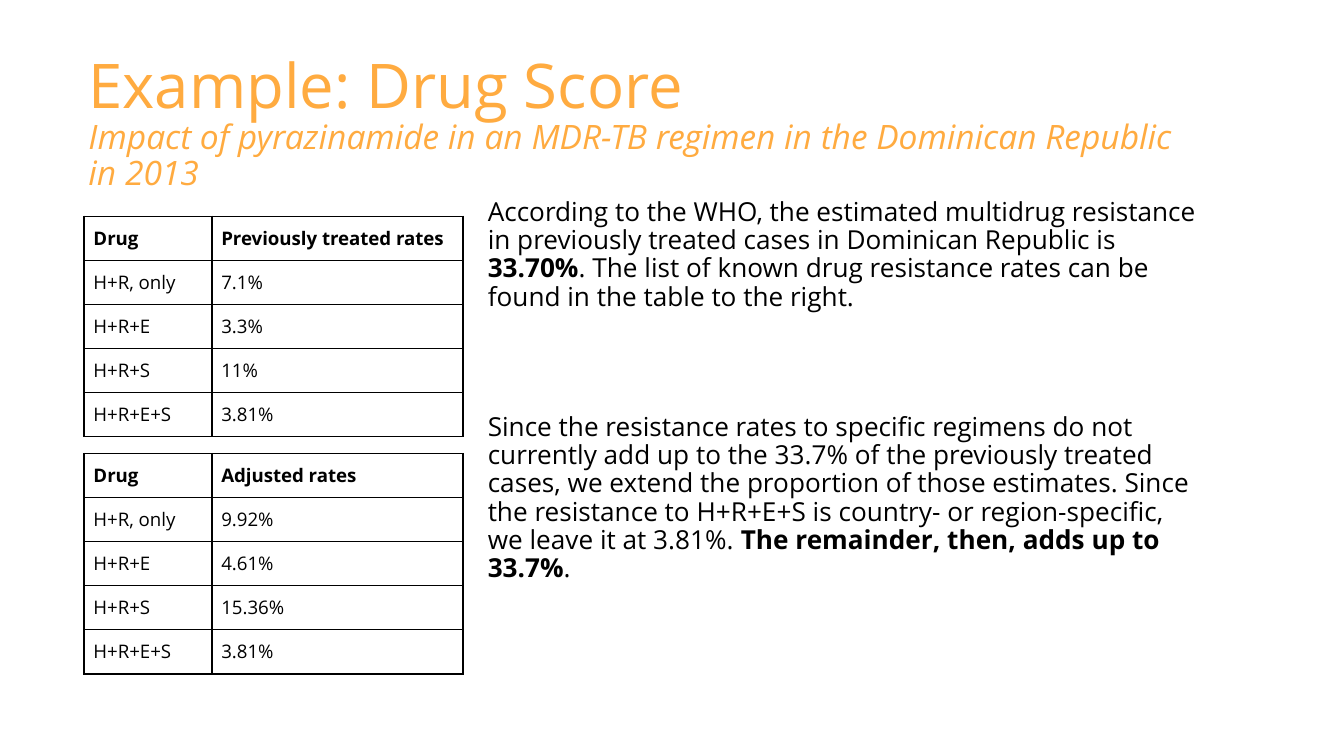
from lxml.etree import SubElement
from pptx import Presentation
from pptx.dml.color import RGBColor
from pptx.enum.text import MSO_ANCHOR
from pptx.oxml.ns import qn
from pptx.util import Pt

FONT = "Open Sans"
BLACK = "000000"
ORANGE = "FFAB40"


def add_span(para, text, size, color=BLACK, bold=False, italic=False):
    span = para.add_run()
    span.text = text
    span.font.name = FONT
    span.font.size = Pt(size)
    span.font.bold = bold
    span.font.italic = italic
    span.font.color.rgb = RGBColor.from_string(color)


def add_text_box(page, left, top, width, height, inset_x, inset_y):
    """Add a wrapping text box and return its text frame."""
    frame = page.shapes.add_textbox(Pt(left), Pt(top), Pt(width), Pt(height)).text_frame
    frame.word_wrap = True
    frame.margin_left = frame.margin_right = Pt(inset_x)
    frame.margin_top = frame.margin_bottom = Pt(inset_y)
    return frame


deck = Presentation()
deck.slide_width = Pt(720)
deck.slide_height = Pt(405)
page = deck.slides.add_slide(deck.slide_layouts[6])

# Title and subtitle
title = add_text_box(page, 40.3, 12.2, 606.2, 98, 7.2, 7.2)
title.vertical_anchor = MSO_ANCHOR.BOTTOM
heading = title.paragraphs[0]
add_span(heading, "Example: Drug Score", 33, ORANGE)
subtitle = title.add_paragraph()
add_span(
    subtitle,
    "Impact of pyrazinamide in an MDR-TB regimen in the Dominican Republic in 2013",
    18, ORANGE, italic=True,
)
for para in title.paragraphs:
    para.line_spacing = 0.88

# Rate tables
drugs = ["Drug", "H+R, only", "H+R+E", "H+R+S", "H+R+E+S"]
rate_tables = [
    (116, ["Previously treated rates", "7.1%", "3.3%", "11%", "3.81%"]),
    (243, ["Adjusted rates", "9.92%", "4.61%", "15.36%", "3.81%"]),
]
column_widths = [68.5, 134.5]
row_height = 23.6

for top, rates in rate_tables:
    table = page.shapes.add_table(
        len(drugs), 2, Pt(45.1), Pt(top), Pt(sum(column_widths)), Pt(row_height * len(drugs))
    ).table
    for column, width in zip(table.columns, column_widths):
        column.width = Pt(width)
    for row_index, values in enumerate(zip(drugs, rates)):
        table.rows[row_index].height = Pt(row_height)
        for column_index, value in enumerate(values):
            cell = table.cell(row_index, column_index)
            cell.margin_left = cell.margin_right = Pt(5)
            cell.margin_top = cell.margin_bottom = Pt(5)
            add_span(cell.text_frame.paragraphs[0], value, 10, bold=row_index == 0)
            properties = cell._tc.get_or_add_tcPr()
            for side in ("a:lnL", "a:lnR", "a:lnT", "a:lnB"):
                line = SubElement(properties, qn(side), w=str(Pt(1)))
                fill = SubElement(line, qn("a:solidFill"))
                SubElement(fill, qn("a:srgbClr"), val=BLACK)
            cell.fill.background()

# Explanation: space before each paragraph, then its spans as (text, bold)
explanation = [
    (0, [
        ("According to the WHO, the estimated multidrug resistance in previously "
         "treated cases in Dominican Republic is ", False),
        ("33.70%", True),
        (". The list of known drug resistance rates can be found in the table "
         "to the right.", False),
    ]),
    (54.5, [
        ("Since the resistance rates to specific regimens do not currently add up to "
         "the 33.7% of the previously treated cases, we extend the proportion of those "
         "estimates. Since the resistance to H+R+E+S is country- or region-specific, "
         "we leave it at 3.81%. ", False),
        ("The remainder, then, adds up to 33.7%", True),
        (".", False),
    ]),
]
body = add_text_box(page, 256.3, 103.7, 394.6, 261.4, 5, 2.9)
for index, (space_before, spans) in enumerate(explanation):
    para = body.add_paragraph() if index else body.paragraphs[0]
    para.line_spacing = 0.9
    para.space_before = Pt(space_before)
    for text, bold in spans:
        add_span(para, text, 14, bold=bold)

deck.save("out.pptx")
